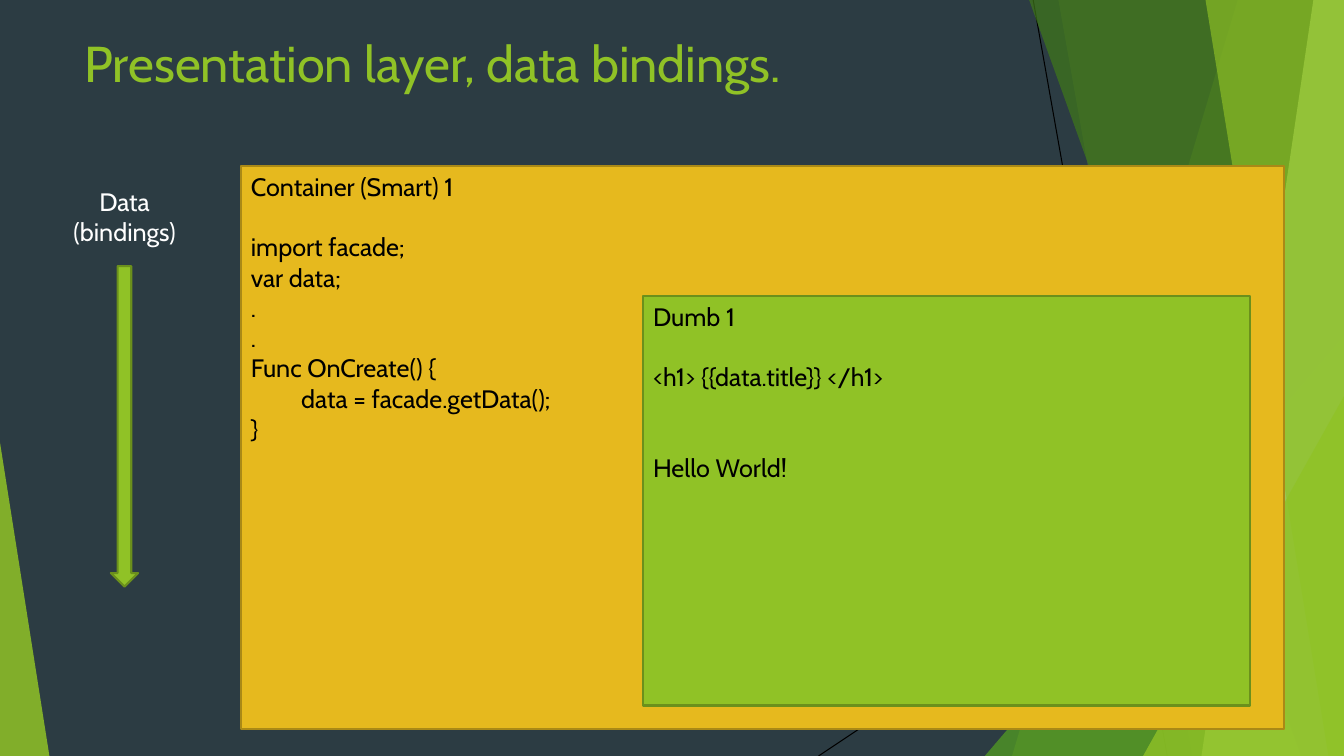
import pptx
import pptx.dml.color
import pptx.enum.shapes
import pptx.enum.text
import pptx.oxml.ns
import pptx.util
from lxml import etree

Pt = pptx.util.Pt
SHAPE = pptx.enum.shapes.MSO_SHAPE
ALIGN = pptx.enum.text.PP_ALIGN
ANCHOR = pptx.enum.text.MSO_ANCHOR
qn = pptx.oxml.ns.qn

WIDTH, HEIGHT = 960, 540
LINE = 21.6  # height of one line of 18 pt text
COLOURS = {
    "night": "2C3C43",
    "lime": "90C226",
    "moss": "6B901C",
    "leaf": "54A021",
    "forest": "3F7819",
    "pale": "C0E474",
    "amber": "E6B91E",
    "bronze": "AA8916",
    "black": "000000",
    "white": "FFFFFF",
}


def rgb(name):
    return pptx.dml.color.RGBColor.from_string(COLOURS[name])


def write_text(frame, paragraphs, size=18, colour="black", font="Cabin",
               align=ALIGN.LEFT, anchor=ANCHOR.TOP):
    """Fill a frame; a paragraph is a string or (string, space before, indent)."""
    frame.word_wrap = True
    frame.vertical_anchor = anchor
    for index, entry in enumerate(paragraphs):
        words, before, indent = (entry, 0, 0) if isinstance(entry, str) else entry
        paragraph = frame.paragraphs[0] if index == 0 else frame.add_paragraph()
        paragraph.alignment = align
        paragraph.space_before = Pt(before)
        if indent:
            paragraph._p.get_or_add_pPr().set("marL", str(Pt(indent)))
        run = paragraph.add_run()
        run.text = words
        run.font.name = font
        run.font.size = Pt(size)
        run.font.color.rgb = rgb(colour)


class SlideBuilder:
    def __init__(self, slide, background):
        self.slide = slide
        self.shapes = slide.shapes
        slide.background.fill.solid()
        slide.background.fill.fore_color.rgb = rgb(background)

    def paint(self, shape, fill, line=None, opacity=100):
        shape.shadow.inherit = False
        shape.fill.solid()
        shape.fill.fore_color.rgb = rgb(fill)
        if opacity < 100:
            colour = shape.fill._xPr.find(qn("a:solidFill"))[0]
            etree.SubElement(colour, qn("a:alpha")).set("val", str(opacity * 1000))
        if line:
            shape.line.color.rgb = rgb(line)
            shape.line.width = Pt(1.5)
        else:
            shape.line.fill.background()

    def hairline(self, *ends):
        connector = self.shapes.add_connector(
            pptx.enum.shapes.MSO_CONNECTOR.STRAIGHT, *map(Pt, ends))
        connector.line.color.rgb = rgb("black")
        connector.line.width = Pt(0.75)
        etree.SubElement(connector._element.spPr, qn("a:effectLst"))

    def facet(self, top_x, bottom_x, fill, opacity):
        """Draw a full-height band from a slanted edge to the slide's right side."""
        outline = self.shapes.build_freeform(Pt(top_x), Pt(0))
        corners = [(WIDTH, 0), (WIDTH, HEIGHT), (bottom_x, HEIGHT)]
        outline.add_line_segments([(Pt(x), Pt(y)) for x, y in corners], close=True)
        self.paint(outline.convert_to_shape(), fill, opacity=opacity)

    def preset(self, kind, left, top, width, height, fill, line=None, opacity=100):
        shape = self.shapes.add_shape(kind, *map(Pt, (left, top, width, height)))
        self.paint(shape, fill, line, opacity)
        return shape

    def triangle(self, left, top, width, apex, fill, opacity):
        """Draw a right triangle that stands on the slide's bottom edge."""
        shape = self.preset(SHAPE.ISOSCELES_TRIANGLE, left, top, width, HEIGHT - top,
                            fill, opacity=opacity)
        shape.adjustments[0] = apex

    def panel(self, left, top, width, height, fill, line, paragraphs):
        shape = self.preset(SHAPE.RECTANGLE, left, top, width, height, fill, line)
        write_text(shape.text_frame, paragraphs)

    def label(self, left, top, width, height, paragraphs, **text_format):
        box = self.shapes.add_textbox(*map(Pt, (left, top, width, height)))
        write_text(box.text_frame, paragraphs, **text_format)


def draw_backdrop(builder):
    builder.hairline(738, 0, 833.76, HEIGHT)
    builder.hairline(WIDTH, 290.16, 584.64, HEIGHT)
    builder.facet(884.16, 722.88, "lime", 30)
    builder.facet(756, 851.76, "lime", 20)
    builder.triangle(703.44, 239.76, 256.56, 1, "leaf", 72)
    builder.facet(735.12, 929.52, "forest", 70)
    builder.facet(938.16, 858.24, "pale", 70)
    builder.facet(861.12, 948.96, "lime", 65)
    builder.triangle(816.48, 282.96, 143.52, 1, "lime", 80)
    builder.triangle(0, 316.08, 35.28, 0, "lime", 85)


def main():
    deck = pptx.Presentation()
    deck.slide_width, deck.slide_height = Pt(WIDTH), Pt(HEIGHT)
    builder = SlideBuilder(deck.slides.add_slide(deck.slide_layouts[6]), "night")

    draw_backdrop(builder)
    builder.label(53.28, 19.44, 676.8, 59.04, ["Presentation layer, data bindings."],
                  size=36, colour="lime")
    builder.panel(172.08, 118.8, 745.2, 401.76, "amber", "bronze", [
        "Container (Smart) 1",
        ("import facade;", LINE, 0),
        "var data;",
        ".",
        ".",
        "Func OnCreate() {",
        ("data = facade.getData();", 0, 36),
        "}",
    ])
    builder.panel(459.36, 211.68, 433.44, 292.32, "lime", "moss", [
        "Dumb 1",
        ("<h1> {{data.title}} </h1>", LINE, 0),
        ("Hello World!", 2 * LINE, 0),
    ])
    builder.preset(SHAPE.DOWN_ARROW, 79.2, 190.08, 19.44, 228.96, "lime", "moss")
    builder.label(13.68, 128.88, 150.48, 51.12, ["Data", "(bindings)"],
                  colour="white", align=ALIGN.CENTER, anchor=ANCHOR.MIDDLE)

    deck.save("out.pptx")


if __name__ == "__main__":
    main()
